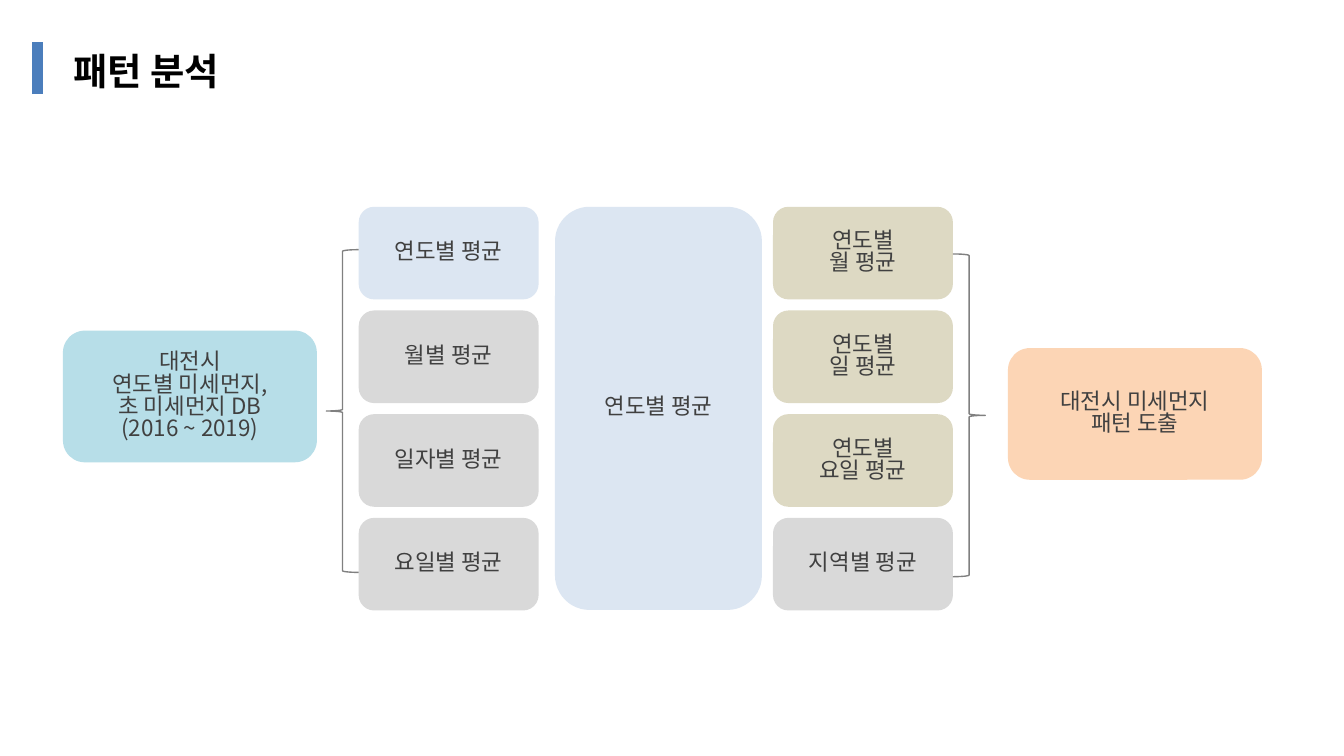
from dataclasses import dataclass

from lxml.etree import SubElement
from pptx import Presentation
from pptx.dml.color import RGBColor
from pptx.enum.shapes import MSO_CONNECTOR, MSO_SHAPE
from pptx.enum.text import MSO_ANCHOR, PP_ALIGN
from pptx.oxml.ns import qn
from pptx.slide import Slide
from pptx.text.text import TextFrame
from pptx.util import Cm, Pt

FONT = "Noto Sans CJK KR"
BLACK = RGBColor(0x00, 0x00, 0x00)
TEXT_GRAY = RGBColor(0x40, 0x40, 0x40)
LINE_GRAY = RGBColor(0x80, 0x80, 0x80)
ACCENT = RGBColor(0x4B, 0x7E, 0xBC)
TEAL = RGBColor(0xB7, 0xDE, 0xE8)
BLUE = RGBColor(0xDC, 0xE6, 0xF2)
GRAY = RGBColor(0xD9, 0xD9, 0xD9)
BEIGE = RGBColor(0xDD, 0xD9, 0xC3)
ORANGE = RGBColor(0xFC, 0xD5, 0xB5)

ROW_TOP = 3.91
ROW_STEP = 1.96
ROW_WIDTH = 3.4
ROW_HEIGHT = 1.75
END_WIDTH = 4.8
END_HEIGHT = 2.49


@dataclass(frozen=True)
class Box:
    left: float
    top: float
    width: float
    height: float
    fill: RGBColor
    lines: tuple[str, ...]


@dataclass(frozen=True)
class Brace:
    left: float
    top: float
    rotation: int


@dataclass(frozen=True)
class Column:
    left: float
    rows: tuple[tuple[RGBColor, tuple[str, ...]], ...]


BOXES = (
    Box(1.19, 6.25, END_WIDTH, END_HEIGHT, TEAL,
        ("대전시", "연도별 미세먼지,", "초 미세먼지 DB", "(2016 ~ 2019)")),
    Box(10.49, ROW_TOP, 3.91, 7.62, BLUE, ("연도별 평균",)),
    Box(19.05, 6.58, END_WIDTH, END_HEIGHT, ORANGE, ("대전시 미세먼지", "패턴 도출")),
)
COLUMNS = (
    Column(6.78, (
        (BLUE, ("연도별 평균",)),
        (GRAY, ("월별 평균",)),
        (GRAY, ("일자별 평균",)),
        (GRAY, ("요일별 평균",)),
    )),
    Column(14.61, (
        (BEIGE, ("연도별", "월 평균")),
        (BEIGE, ("연도별", "일 평균")),
        (BEIGE, ("연도별", "요일 평균")),
        (GRAY, ("지역별 평균",)),
    )),
)
BRACES = (Brace(6.17, 4.72, 0), Brace(18.01, 4.8, 180))


def write_text(frame: TextFrame, lines: tuple[str, ...], *, size: float = 12,
               color: RGBColor = TEXT_GRAY, bold: bool = False,
               align: PP_ALIGN = PP_ALIGN.CENTER, spacing: float = 0.82) -> None:
    frame.word_wrap = True
    frame.vertical_anchor = MSO_ANCHOR.MIDDLE
    for index, line in enumerate(lines):
        paragraph = frame.add_paragraph() if index else frame.paragraphs[0]
        paragraph.alignment = align
        paragraph.line_spacing = spacing
        run = paragraph.add_run()
        run.text = line
        run.font.size = Pt(size)
        run.font.bold = bold
        run.font.color.rgb = color
        run.font.name = FONT
        SubElement(run.font._element, qn("a:ea")).set("typeface", FONT)


def draw_title(slide: Slide, text: str) -> None:
    title = slide.shapes.title
    title.left, title.top = Cm(0.97), Cm(0.66)
    title.width, title.height = Cm(24.1), Cm(1.35)
    title.text_frame.margin_left = Cm(0.41)
    write_text(title.text_frame, (text,), size=20, color=BLACK, bold=True,
               align=PP_ALIGN.LEFT, spacing=1.0)


def draw_accent(slide: Slide) -> None:
    accent = slide.shapes.add_connector(
        MSO_CONNECTOR.STRAIGHT, Cm(0.71), Cm(1.78), Cm(0.71), Cm(0.79))
    accent.line.color.rgb = ACCENT
    accent.line.width = Pt(6)
    SubElement(accent._element.spPr, qn("a:effectLst"))


def draw_box(slide: Slide, box: Box) -> None:
    shape = slide.shapes.add_shape(
        MSO_SHAPE.ROUNDED_RECTANGLE,
        Cm(box.left), Cm(box.top), Cm(box.width), Cm(box.height))
    shape.shadow.inherit = False
    shape.fill.solid()
    shape.fill.fore_color.rgb = box.fill
    shape.line.fill.background()
    write_text(shape.text_frame, box.lines)


def draw_column(slide: Slide, column: Column) -> None:
    for index, (fill, lines) in enumerate(column.rows):
        top = ROW_TOP + index * ROW_STEP
        draw_box(slide, Box(column.left, top, ROW_WIDTH, ROW_HEIGHT, fill, lines))


def draw_brace(slide: Slide, brace: Brace) -> None:
    shape = slide.shapes.add_shape(
        MSO_SHAPE.LEFT_BRACE, Cm(brace.left), Cm(brace.top), Cm(0.61), Cm(6.1))
    shape.adjustments[0] = 0.05
    shape.rotation = brace.rotation
    shape.shadow.inherit = False
    shape.fill.background()
    shape.line.color.rgb = LINE_GRAY
    shape.line.width = Pt(0.75)


def main() -> None:
    presentation = Presentation()
    presentation.slide_width = Cm(25.4)
    presentation.slide_height = Cm(14.29)
    slide = presentation.slides.add_slide(presentation.slide_layouts[5])
    draw_accent(slide)
    draw_title(slide, "패턴 분석")
    for box in BOXES:
        draw_box(slide, box)
    for column in COLUMNS:
        draw_column(slide, column)
    for brace in BRACES:
        draw_brace(slide, brace)
    presentation.save("out.pptx")


if __name__ == "__main__":
    main()
